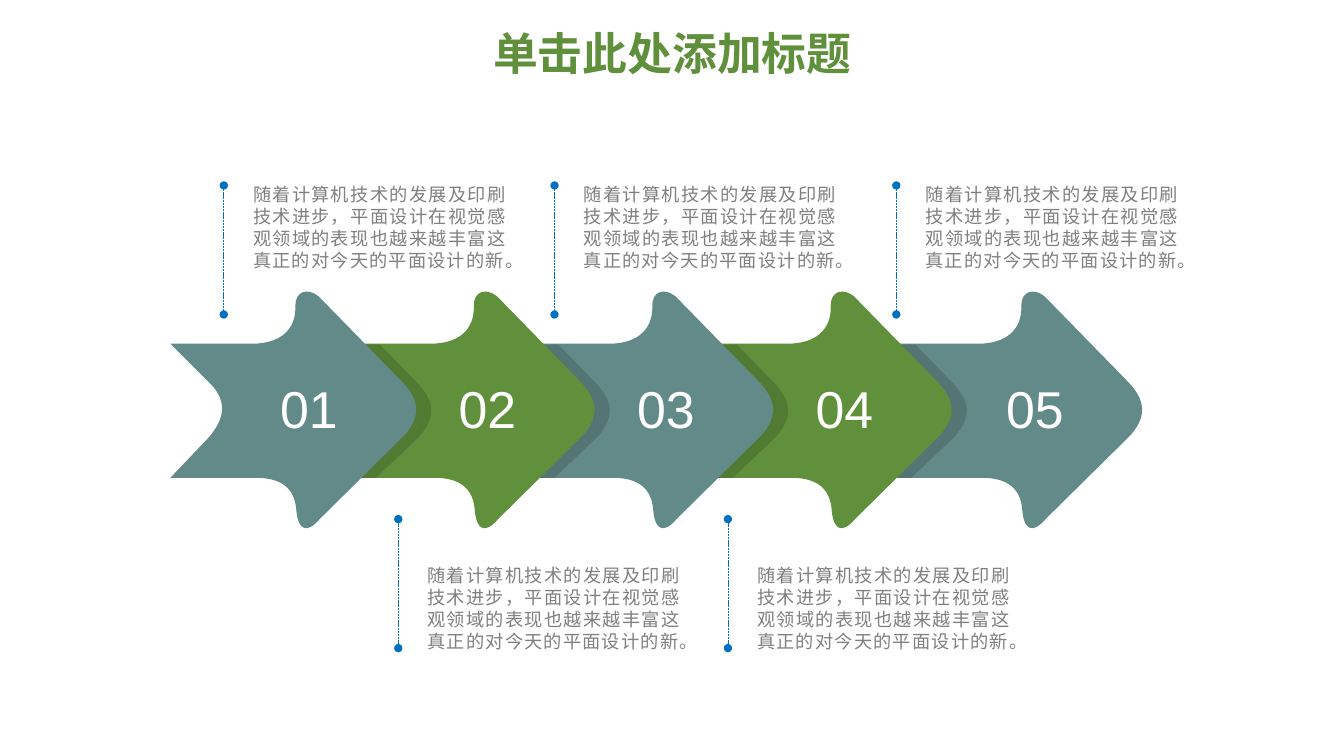
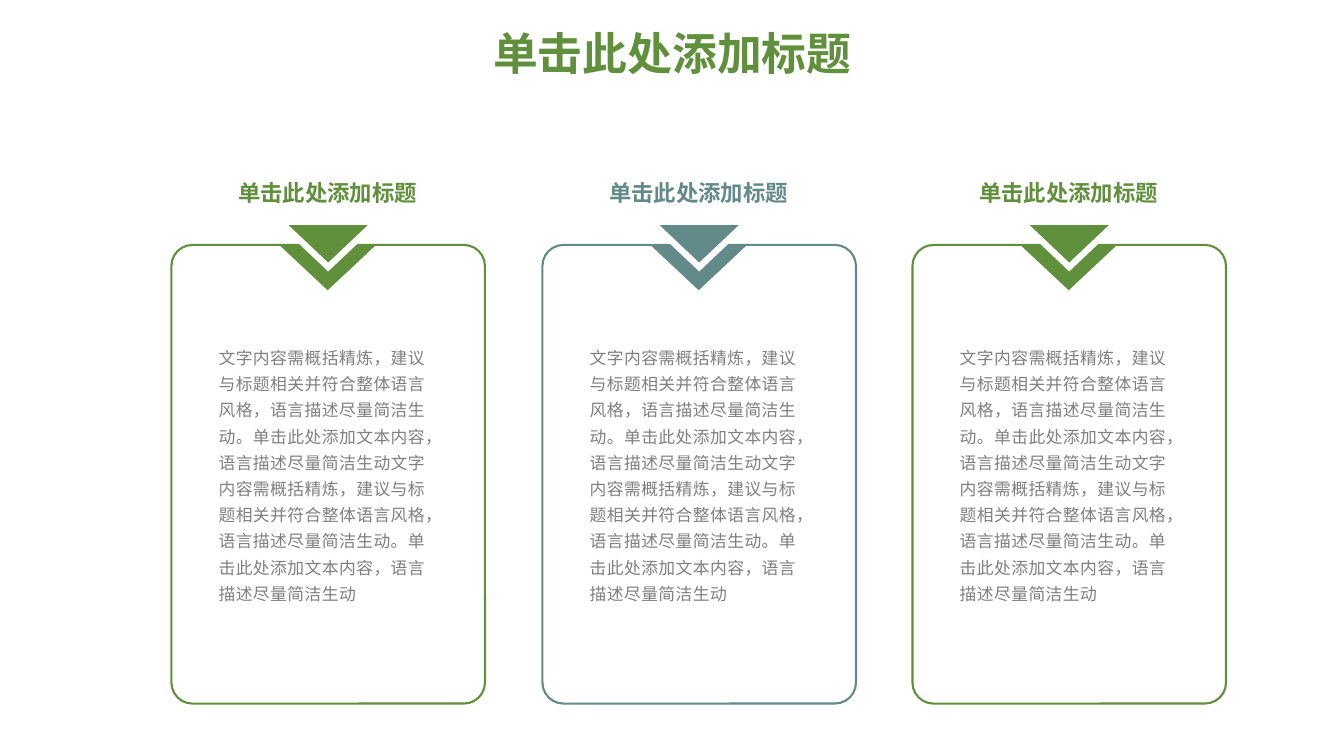
from lxml import etree
from pptx import Presentation
from pptx.dml.color import RGBColor
from pptx.enum.dml import MSO_LINE
from pptx.enum.shapes import MSO_CONNECTOR, MSO_SHAPE
from pptx.enum.text import MSO_ANCHOR, MSO_AUTO_SIZE, PP_ALIGN
from pptx.oxml.ns import qn
from pptx.util import Inches, Pt

STRAIGHT = MSO_CONNECTOR.STRAIGHT
RECTANGLE = MSO_SHAPE.RECTANGLE
TRIANGLE = MSO_SHAPE.ISOSCELES_TRIANGLE
ROUNDED = MSO_SHAPE.ROUNDED_RECTANGLE
SYS_DASH = MSO_LINE.SQUARE_DOT
MIDDLE = MSO_ANCHOR.MIDDLE
GROW = MSO_AUTO_SIZE.SHAPE_TO_FIT_TEXT
LEFT, CENTER, JUSTIFY = PP_ALIGN.LEFT, PP_ALIGN.CENTER, PP_ALIGN.JUSTIFY

COLORS = {
    "green": "60903B",
    "teal": "628A88",
    "blue": "0070C0",
    "gray": "808080",
    "white": "FFFFFF",
    "black": "000000",
}
FONT = "Arial"
TITLE = "单击此处添加标题"
STEP_TEXT = "随着计算机技术的发展及印刷技术进步，平面设计在视觉感观领域的表现也越来越丰富这真正的对今天的平面设计的新。"
CARD_TEXT = (
    "文字内容需概括精炼，建议与标题相关并符合整体语言风格，语言描述尽量简洁生动。单击此处添加文本内容，语言描述尽量简洁生动"
    "文字内容需概括精炼，建议与标题相关并符合整体语言风格，语言描述尽量简洁生动。单击此处添加文本内容，语言描述尽量简洁生动"
)

ARROW_BOX = (0, 2.89, 2.44, 2.35)
ARROW = [
    (0, 3.41), (0.81, 3.41),
    (1.09, 3.41, 1.25, 3.27, 1.24, 3.03),
    (1.24, 2.89, 1.36, 2.85, 1.47, 2.94),
    (2.3, 3.79),
    (2.51, 4.01, 2.45, 4.17, 2.32, 4.32),
    (1.48, 5.15),
    (1.36, 5.29, 1.27, 5.27, 1.25, 5.07),
    (1.24, 4.9, 1.16, 4.74, 0.85, 4.74),
    (0, 4.74), (0.39, 4.33),
    (0.51, 4.18, 0.58, 4.02, 0.42, 3.83),
    (0, 3.41),
]
SHADE_BOX = (0.15, 3.42, 2.44, 1.32)
SHADE = [
    (0.16, 3.42), (2.08, 3.42), (2.45, 3.8),
    (2.66, 4.02, 2.6, 4.17, 2.47, 4.33),
    (2.04, 4.74), (0.15, 4.74), (0.54, 4.34),
    (0.66, 4.19, 0.73, 4.03, 0.57, 3.84),
    (0.16, 3.42),
]


def rgb(name):
    return RGBColor.from_string(COLORS[name])


def write_text(tf, text, size, color, bold=False, align=LEFT, line_spacing=None, spacing=None):
    p = tf.paragraphs[0]
    p.alignment = align
    if line_spacing:
        p.line_spacing = line_spacing
    r = p.add_run()
    r.text = text
    r.font.name = FONT
    r.font.size = Pt(size)
    r.font.bold = bold
    r.font.color.rgb = rgb(color)
    if spacing:
        r.font._element.set("spc", str(round(spacing * 100)))


def add_text(s, box, text, wrap=True, insets=(0.1, 0.05), **fmt):
    tf = s.shapes.add_textbox(*map(Inches, box)).text_frame
    tf.word_wrap = wrap
    tf.auto_size = GROW
    tf.margin_left = tf.margin_right = Inches(insets[0])
    tf.margin_top = tf.margin_bottom = Inches(insets[1])
    write_text(tf, text, **fmt)


def style_shape(sp, fill, line=None, width=0, alpha=None):
    sp.shadow.inherit = False
    sp.fill.solid()
    sp.fill.fore_color.rgb = rgb(fill)
    if alpha:
        color = sp._element.spPr.find(qn("a:solidFill"))[0]
        etree.SubElement(color, qn("a:alpha")).set("val", str(alpha * 1000))
    if line:
        sp.line.color.rgb = rgb(line)
        sp.line.width = Pt(width)
        ln = sp._element.spPr.find(qn("a:ln"))
        etree.SubElement(ln, qn("a:miter")).set("lim", "800000")
    else:
        sp.line.fill.background()


def add_shape(s, kind, box, flip=False, **style):
    sp = s.shapes.add_shape(kind, *map(Inches, box))
    style_shape(sp, **style)
    if flip:
        sp._element.spPr.find(qn("a:xfrm")).set("flipV", "1")
    return sp


def add_outline(s, left, box, outline, **style):
    x, y, w, h = box
    corners = [(x, y), (x + w, y), (x + w, y + h), (x, y + h)]
    corners = [(Inches(left + cx), Inches(cy)) for cx, cy in corners]
    builder = s.shapes.build_freeform(*corners[0])
    builder.add_line_segments(corners[1:], close=True)
    sp = builder.convert_to_shape()
    draw_path(next(sp._element.iter(qn("a:path"))), x, y, outline)
    style_shape(sp, **style)


def draw_path(outline_path, x, y, outline):
    for child in list(outline_path):
        outline_path.remove(child)
    for i, step in enumerate(outline):
        tag = "a:moveTo" if i == 0 else "a:lnTo" if len(step) == 2 else "a:cubicBezTo"
        segment = etree.SubElement(outline_path, qn(tag))
        for px, py in zip(step[::2], step[1::2]):
            pt = etree.SubElement(segment, qn("a:pt"))
            pt.set("x", str(Inches(px - x)))
            pt.set("y", str(Inches(py - y)))
    etree.SubElement(outline_path, qn("a:close"))


def add_dotted_line(s, x, top, height):
    line = s.shapes.add_connector(STRAIGHT, *map(Inches, (x, top + height, x, top)))
    line.line.color.rgb = rgb("blue")
    line.line.width = Pt(0.5)
    line.line.dash_style = SYS_DASH
    spPr = line._element.spPr
    ln = spPr.find(qn("a:ln"))
    for end in ("a:headEnd", "a:tailEnd"):
        etree.SubElement(ln, qn(end)).set("type", "oval")
    etree.SubElement(spPr, qn("a:effectLst"))


def add_titled_slide(prs):
    s = prs.slides.add_slide(prs.slide_layouts[5])
    sp = s.shapes.title
    sp.left, sp.top, sp.width, sp.height = map(Inches, (0.92, 0.26, 11.5, 0.6))
    sp.text_frame.vertical_anchor = MIDDLE
    write_text(sp.text_frame, TITLE, 32, "green", bold=True, align=CENTER, line_spacing=0.9)
    return s


def add_master_band(prs, s):
    band = add_shape(s, RECTANGLE, (0, 0.86, 13.33, 6.64), fill="white", alpha=89)
    prs.slide_master.shapes._spTree.insert(2, band._element)


def add_arrow(s, left, number, color, shaded):
    if shaded:
        add_outline(s, left, SHADE_BOX, SHADE, fill="black", alpha=15)
    add_outline(s, left, ARROW_BOX, ARROW, fill=color)
    add_text(s, (left + 0.99, 3.69, 0.78, 0.72), f"{number:02}", wrap=False,
             size=37, color="white")


def add_step_note(s, x, line_top, text_top):
    add_dotted_line(s, x, line_top, 1.28)
    add_text(s, (x + 0.16, text_top, 2.76, 1.03), STEP_TEXT, insets=(0.13, 0.07),
             size=13, color="gray", align=JUSTIFY)


def add_card(s, left, color):
    card = add_shape(s, ROUNDED, (left, 2.43, 3.11, 4.55), fill="white", line=color, width=1.5)
    card.adjustments[0] = 0.067
    add_shape(s, TRIANGLE, (left + 1.07, 2.43, 0.96, 0.45), flip=True, fill=color)
    add_shape(s, TRIANGLE, (left + 1.08, 2.2, 0.95, 0.45), flip=True,
              fill=color, line="white", width=4.5)
    add_text(s, (left + 0.55, 1.6, 2, 0.46), TITLE, wrap=False, size=16, color=color,
             bold=True, align=CENTER, line_spacing=1.5)
    add_text(s, (left + 0.37, 3.34, 2.37, 3.01), CARD_TEXT, size=12, color="gray",
             line_spacing=1.3, spacing=0.3)


def build_arrow_slide(prs):
    s = add_titled_slide(prs)
    add_master_band(prs, s)
    lefts = [1.69 + 1.77 * i for i in range(4)] + [8.89]
    for i in reversed(range(5)):
        add_arrow(s, lefts[i], i + 1, ("teal", "green")[i % 2], shaded=i < 4)
    for i, x in enumerate((2.22, 3.95, 5.5, 7.22, 8.89)):
        line_top, text_top = ((1.84, 1.75), (5.15, 5.53))[i % 2]
        add_step_note(s, x, line_top, text_top)


def build_card_slide(prs):
    s = add_titled_slide(prs)
    for left, color in ((1.7, "green"), (5.38, "teal"), (9.05, "green")):
        add_card(s, left, color)


def main():
    prs = Presentation()
    prs.slide_width, prs.slide_height = Inches(13.33), Inches(7.5)
    build_arrow_slide(prs)
    build_card_slide(prs)
    prs.save("out.pptx")


if __name__ == "__main__":
    main()
